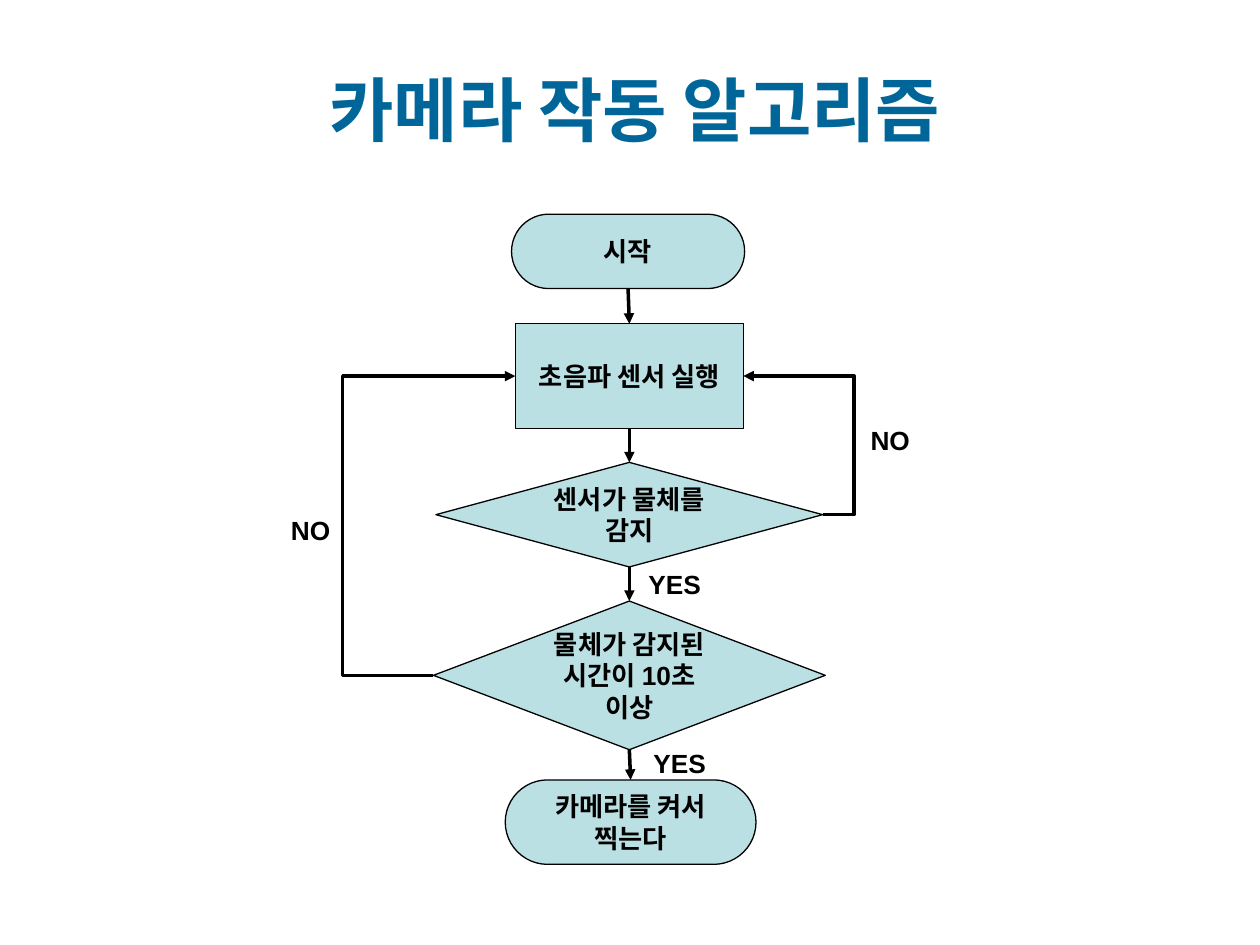
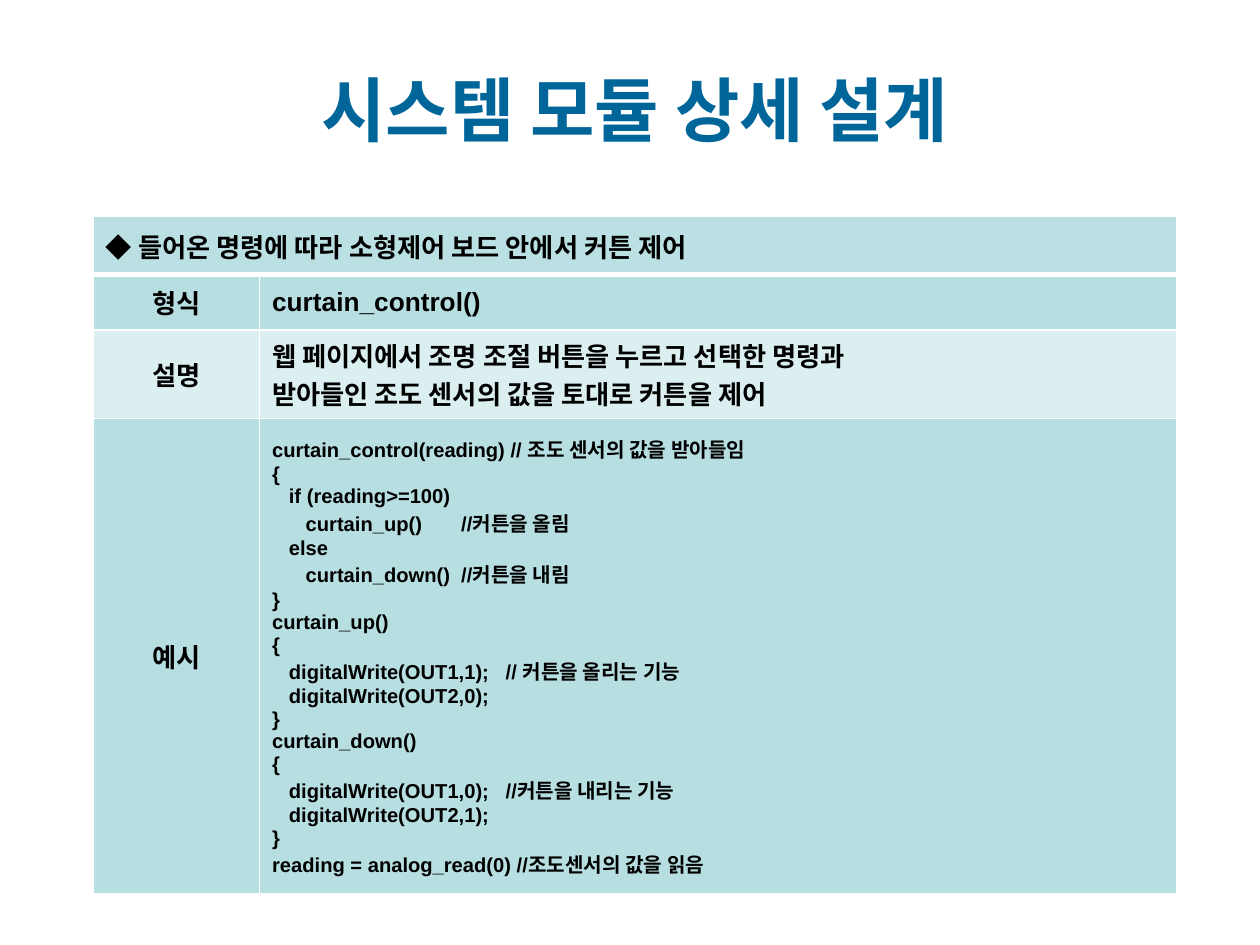
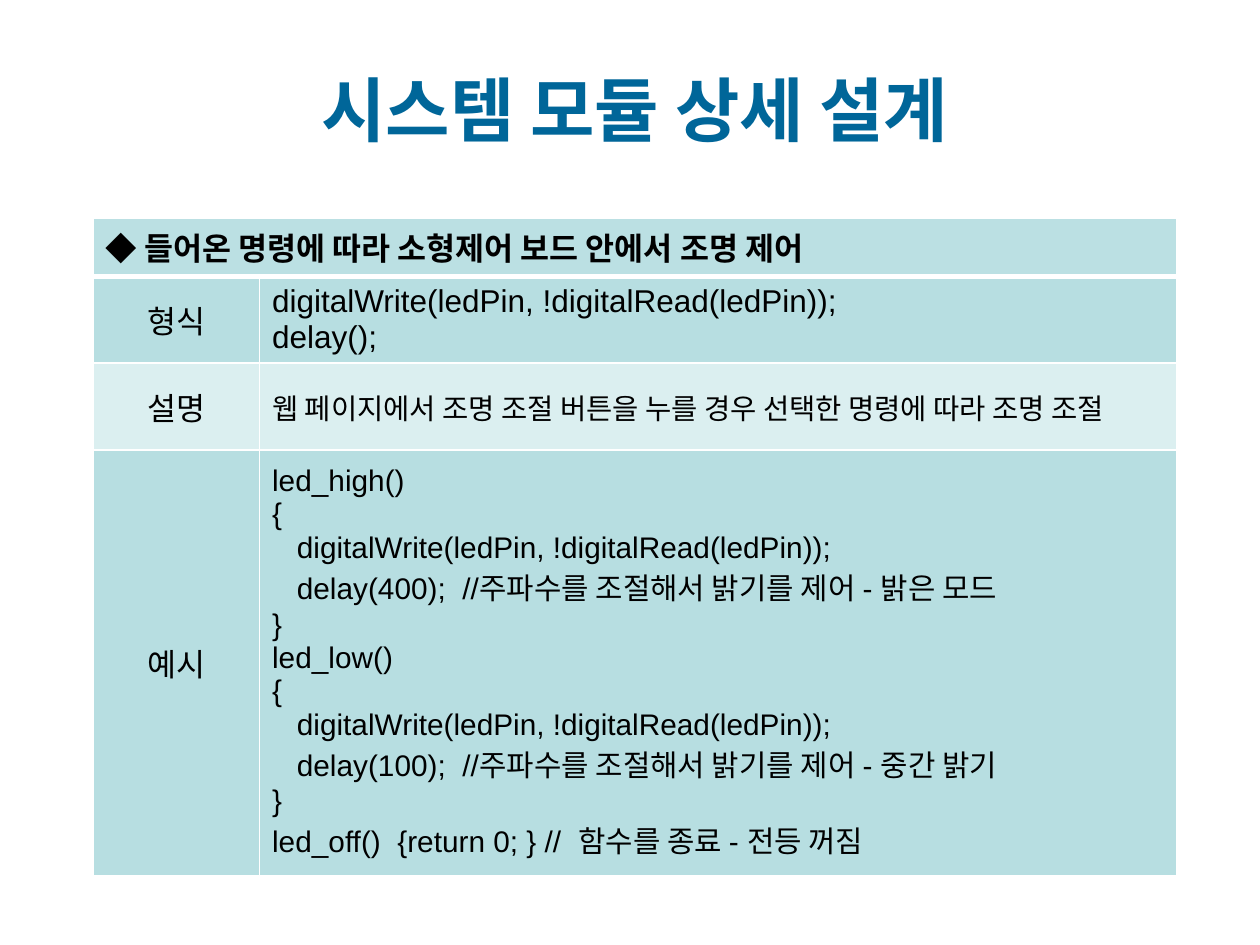
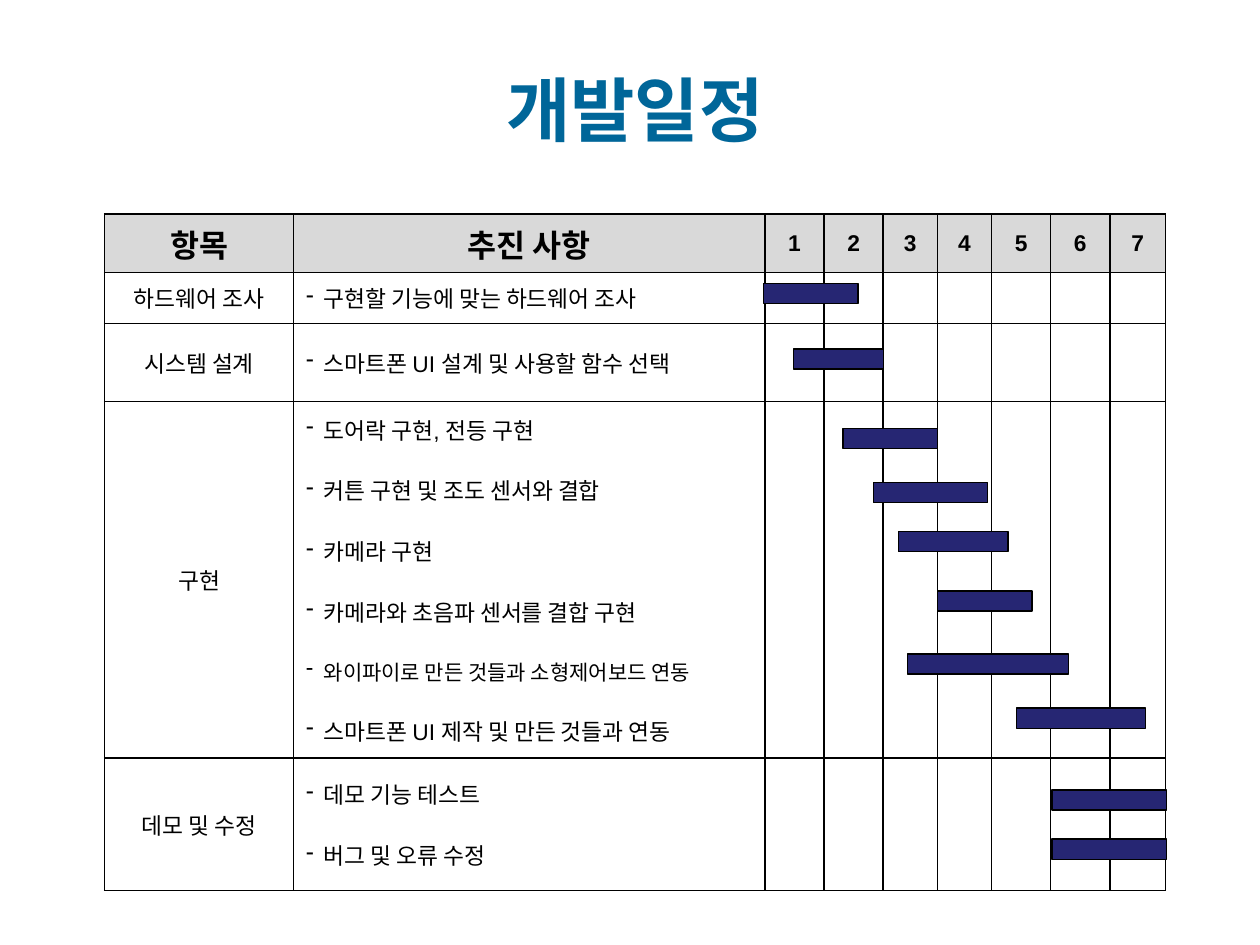
"""Build four slides on a camera flowchart, two module designs and a schedule."""
from dataclasses import dataclass

import pptx
import pptx.dml.color
import pptx.enum.shapes
import pptx.enum.text
import pptx.oxml.ns
import pptx.util
from lxml import etree

SHAPE = pptx.enum.shapes.MSO_SHAPE
LINE = pptx.enum.shapes.MSO_CONNECTOR
ALIGN = pptx.enum.text.PP_ALIGN
MIDDLE = pptx.enum.text.MSO_ANCHOR.MIDDLE
TOP_SITE, LEFT_SITE, BOTTOM_SITE, RIGHT_SITE = range(4)


@dataclass(frozen=True)
class Theme:
    """Colours, fonts, type sizes and line widths shared by the slides."""
    title: str = "006699"
    ink: str = "000000"
    white: str = "FFFFFF"
    node: str = "BBE0E3"
    band: str = "B7DEE1"
    band_light: str = "DBEFF0"
    head: str = "D9D9D9"
    bar: str = "262673"
    title_font: str = "Quicksand"
    body_font: str = "Arial"
    title_size: float = 40
    large: float = 18
    node_size: float = 15
    plan_size: float = 13
    small: float = 12
    outline: float = 0.75
    arrow: float = 2
    cell_line: float = 1
    head_line: float = 3


T = Theme()
COLUMNS, ROWS = 100, 75
WIDTH, HEIGHT = pptx.util.Inches(10), pptx.util.Inches(7.5)


def rgb(code):
    """Turn a hex code into a colour."""
    return pptx.dml.color.RGBColor.from_string(code)


def col(n):
    """Length of n grid columns."""
    return round(WIDTH * n / COLUMNS)


def row(n):
    """Length of n grid rows."""
    return round(HEIGHT * n / ROWS)


def box(x, y, w, h):
    """Left, top, width and height from grid units."""
    return col(x), row(y), col(w), row(h)


def add_xml(parent, tag, **attrs):
    """Append a DrawingML element."""
    return etree.SubElement(parent, pptx.oxml.ns.qn(tag), attrs)


def write(tf, lines, size, bold=False, align=None, color=T.ink, font=T.body_font):
    """Fill a text frame with paragraphs and format their runs."""
    tf.text = "\n".join(lines)
    for p in tf.paragraphs:
        p.alignment = align
        for r in p.runs:
            r.font.name, r.font.size, r.font.bold = font, pptx.util.Pt(size), bold
            r.font.color.rgb = rgb(color)


def add_slide(prs, title):
    """Add a title-only slide with the shared title style."""
    s = prs.slides.add_slide(prs.slide_layouts[5])
    sp = s.shapes.title
    sp.left, sp.top, sp.width, sp.height = box(5.8, 3, 89.2, 11.2)
    sp.text_frame.vertical_anchor = MIDDLE
    write(sp.text_frame, [title], T.title_size, True, ALIGN.CENTER, T.title, T.title_font)
    return s


def add_block(s, kind, at, fill):
    """Add a filled, thinly outlined shape."""
    sp = s.shapes.add_shape(kind, *box(*at))
    sp.shadow.inherit = False
    sp.fill.solid()
    sp.fill.fore_color.rgb = rgb(fill)
    sp.line.color.rgb = rgb(T.ink)
    sp.line.width = pptx.util.Pt(T.outline)
    return sp


def add_node(s, kind, at, text):
    """Add a flowchart node with centred text."""
    sp = add_block(s, kind, at, T.node)
    if kind == SHAPE.ROUNDED_RECTANGLE:
        sp.adjustments[0] = 0.5
    sp.text_frame.word_wrap = True
    sp.text_frame.vertical_anchor = MIDDLE
    write(sp.text_frame, [text], T.node_size, True, ALIGN.CENTER)
    return sp


def add_label(s, at, text):
    """Add the answer beside an arrow."""
    tf = s.shapes.add_textbox(*box(*at)).text_frame
    tf.word_wrap = True
    write(tf, [text], T.node_size, True, ALIGN.CENTER)


def add_arrow(s, start, start_site, end, end_site, via=None):
    """Join two nodes by an arrow, bent through column via if given."""
    kind = LINE.STRAIGHT if via is None else LINE.ELBOW
    cx = s.shapes.add_connector(kind, 0, 0, 0, 0)
    cx.begin_connect(start, start_site)
    cx.end_connect(end, end_site)
    cx.line.color.rgb = rgb(T.ink)
    cx.line.width = pptx.util.Pt(T.arrow)
    add_xml(cx.line._get_or_add_ln(), "a:tailEnd", type="triangle")
    sp_pr = cx._element.spPr
    add_xml(sp_pr, "a:effectLst")
    if via is not None:
        share = (col(via) - cx.begin_x) / (cx.end_x - cx.begin_x)
        guides = sp_pr.find(".//" + pptx.oxml.ns.qn("a:avLst"))
        add_xml(guides, "a:gd", name="adj1", fmla=f"val {round(share * 100000)}")


def add_table(s, at, widths, heights):
    """Add a table without banding, sized in grid units."""
    x, y = at
    frame = s.shapes.add_table(len(heights), len(widths),
                               *box(x, y, sum(widths), sum(heights)))
    tbl = frame.table
    tbl.first_row = tbl.horz_banding = False
    for column, w in zip(tbl.columns, widths):
        column.width = col(w)
    for line, h in zip(tbl.rows, heights):
        line.height = row(h)
    return tbl


def format_cell(cell, line, fill=None, top=T.cell_line, bottom=T.cell_line):
    """Set the borders, fill and anchor of a cell."""
    tc_pr = cell._tc.get_or_add_tcPr()
    for side, width in zip("LRTB", (T.cell_line, T.cell_line, top, bottom)):
        ln = add_xml(tc_pr, f"a:ln{side}", w=str(pptx.util.Pt(width)))
        add_xml(add_xml(ln, "a:solidFill"), "a:srgbClr", val=line)
    if fill:
        cell.fill.solid()
        cell.fill.fore_color.rgb = rgb(fill)
    else:
        cell.fill.background()
    cell.vertical_anchor = MIDDLE


def write_list(tf, items, gap):
    """Write dashed list items with a gap between them."""
    write(tf, items, T.plan_size)
    for i, p in enumerate(tf.paragraphs):
        p_pr = p._p.get_or_add_pPr()
        indent = col(1.4)
        p_pr.set("marL", str(indent))
        p_pr.set("indent", str(-indent))
        add_xml(p_pr, "a:buChar", char="-")
        if i:
            p.space_before = pptx.util.Pt(gap)


def add_module(prs, top, heading, size, bold, heights, details):
    """Add a module slide: a heading row, then labelled rows of (lines, size)."""
    s = add_slide(prs, "시스템 모듈 상세 설계")
    tbl = add_table(s, (7.4, top), (13.2, 72.8), heights)
    tbl.cell(0, 0).merge(tbl.cell(0, 1))
    for i in range(2):
        format_cell(tbl.cell(0, i), T.white, T.node, bottom=T.head_line)
    write(tbl.cell(0, 0).text_frame, [heading], size, True)
    labels = ("형식", "설명", "예시")
    for i, (label, (lines, line_size)) in enumerate(zip(labels, details), 1):
        fill = T.band if i % 2 else T.band_light
        for cell in tbl.rows[i].cells:
            format_cell(cell, T.white, fill, top=T.head_line if i == 1 else T.cell_line)
        write(tbl.cell(i, 0).text_frame, [label], size, bold, ALIGN.CENTER)
        write(tbl.cell(i, 1).text_frame, lines, line_size, bold)


def add_flowchart(prs):
    """Add the camera flowchart."""
    s = add_slide(prs, "카메라 작동 알고리즘")
    start = add_node(s, SHAPE.ROUNDED_RECTANGLE, (40.6, 17, 18.5, 5.9), "시작")
    sensor = add_node(s, SHAPE.RECTANGLE, (40.9, 25.7, 18.1, 8.3), "초음파 센서 실행")
    detect = add_node(s, SHAPE.DIAMOND, (34.6, 36.7, 30.7, 8.3), "센서가 물체를 감지")
    shoot = add_node(s, SHAPE.ROUNDED_RECTANGLE, (40.1, 61.9, 19.9, 6.7),
                     "카메라를 켜서 찍는다")
    wait = add_node(s, SHAPE.DIAMOND, (34.4, 47.7, 31.1, 11.8),
                    "물체가 감지된 시간이 10초 이상")
    steps = (start, sensor, detect, wait, shoot)
    for upper, lower in zip(steps, steps[1:]):
        add_arrow(s, upper, BOTTOM_SITE, lower, TOP_SITE)
    add_arrow(s, detect, RIGHT_SITE, sensor, RIGHT_SITE, via=67.8)
    add_arrow(s, wait, LEFT_SITE, sensor, LEFT_SITE, via=27.2)
    for x, y in ((21.7, 40.3), (67.7, 33.2)):
        add_label(s, (x, y, 5.9, 4.3), "NO")
    for x, y in ((49.2, 44.6), (49.6, 58.8)):
        add_label(s, (x, y, 8.7, 4.3), "YES")


def add_schedule(prs):
    """Add the schedule table with its bars."""
    s = add_slide(prs, "개발일정")
    plan = (
        ("하드웨어 조사", ["구현할 기능에 맞는 하드웨어 조사"]),
        ("시스템 설계", ["스마트폰 UI 설계 및 사용할 함수 선택"]),
        ("구현", ["도어락 구현, 전등 구현", "커튼 구현 및 조도 센서와 결합", "카메라 구현",
                "카메라와 초음파 센서를 결합 구현", "와이파이로 만든 것들과 소형제어보드 연동",
                "스마트폰 UI 제작 및 만든 것들과 연동"]),
        ("데모 및 수정", ["데모 기능 테스트", "버그 및 오류 수정"]),
    )
    tbl = add_table(s, (8.3, 17), (15, 37.4, 4.7, 4.7, 4.3, 4.3, 4.7, 4.7, 4.4),
                    (4.3, 3.9, 6.2, 28.3, 10.5))
    for i, line in enumerate(tbl.rows):
        for cell in line.cells:
            format_cell(cell, T.ink, None if i else T.head)
    for i, text in enumerate(["항목", "추진 사항", *map(str, range(1, 8))]):
        size = T.large if i < 2 else T.plan_size
        write(tbl.cell(0, i).text_frame, [text], size, True, ALIGN.CENTER)
    for i, (stage, tasks) in enumerate(plan, 1):
        write(tbl.cell(i, 0).text_frame, [stage], T.plan_size, align=ALIGN.CENTER)
        write_list(tbl.cell(i, 1).text_frame, tasks, gap=16)
    linking = tbl.cell(3, 1).text_frame.paragraphs[4]
    linking.runs[0].font.size = pptx.util.Pt(T.small)
    bars = ((60.6, 22.5, 7.5), (63, 27.7, 7.1), (66.9, 34, 7.5), (69.3, 38.3, 9.1),
            (71.3, 42.2, 8.7), (74.4, 46.9, 7.5), (72, 51.9, 12.8), (80.7, 56.2, 10.2),
            (83.5, 62.7, 9.1), (83.5, 66.6, 9.1))
    for x, y, length in bars:
        add_block(s, SHAPE.RECTANGLE, (x, y, length, 1.6), T.bar)


CURTAIN_CODE = """curtain_control(reading) // 조도 센서의 값을 받아들임
{
   if (reading>=100)
      curtain_up()       //커튼을 올림
   else
      curtain_down()  //커튼을 내림
}
curtain_up()
{
   digitalWrite(OUT1,1);   // 커튼을 올리는 기능
   digitalWrite(OUT2,0);
}
curtain_down()
{
   digitalWrite(OUT1,0);   //커튼을 내리는 기능
   digitalWrite(OUT2,1);
}
reading = analog_read(0) //조도센서의 값을 읽음"""

LIGHT_CODE = """led_high()
{
   digitalWrite(ledPin, !digitalRead(ledPin));
   delay(400);  //주파수를 조절해서 밝기를 제어 - 밝은 모드
}
led_low()
{
   digitalWrite(ledPin, !digitalRead(ledPin));
   delay(100);  //주파수를 조절해서 밝기를 제어 - 중간 밝기
}
led_off()  {return 0; } //  함수를 종료 - 전등 꺼짐"""


def main():
    """Build and save the presentation."""
    prs = pptx.Presentation()
    prs.slide_width, prs.slide_height = WIDTH, HEIGHT
    add_flowchart(prs)
    add_module(prs, 17.2, "◆ 들어온 명령에 따라 소형제어 보드 안에서 커튼 제어",
               T.node_size, True, (4.6, 4.4, 5.8, 37.7), (
                   (["curtain_control()"], T.node_size),
                   (["웹 페이지에서 조명 조절 버튼을 누르고 선택한 명령과",
                     "받아들인 조도 센서의 값을 토대로 커튼을 제어"], T.node_size),
                   (CURTAIN_CODE.split("\n"), 11.5)))
    add_module(prs, 17.3, "◆ 들어온 명령에 따라 소형제어 보드 안에서 조명 제어",
               T.large, False, (4.6, 6.9, 6.9, 33.8), (
                   (["digitalWrite(ledPin, !digitalRead(ledPin));", "delay();"], T.large),
                   (["웹 페이지에서 조명 조절 버튼을 누를 경우 선택한 명령에 따라 조명 조절"], 16.3),
                   (LIGHT_CODE.split("\n"), 17)))
    add_schedule(prs)
    prs.save("out.pptx")


if __name__ == "__main__":
    main()
